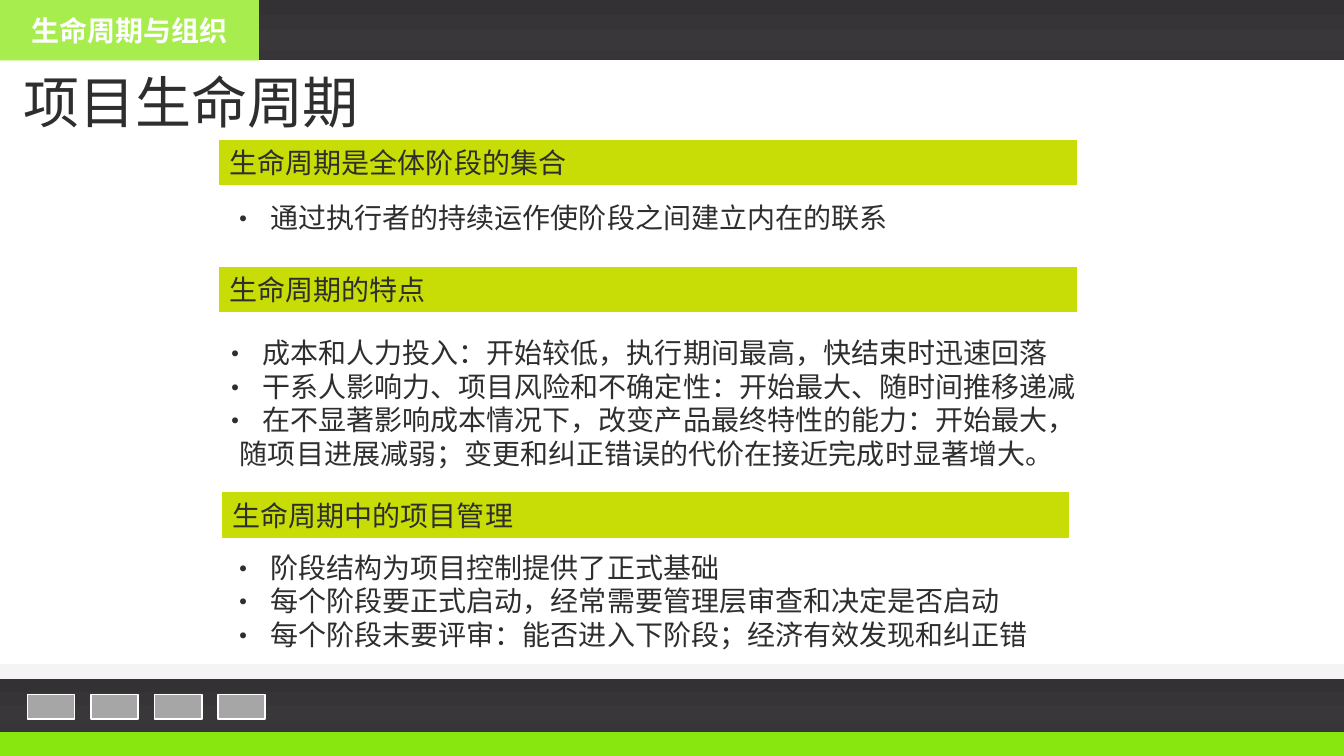
from dataclasses import dataclass

from lxml.etree import SubElement
from pptx import Presentation
from pptx.dml.color import RGBColor
from pptx.enum.shapes import MSO_SHAPE
from pptx.enum.text import MSO_ANCHOR as Anchor, MSO_AUTO_SIZE as AutoSize, PP_ALIGN as Align
from pptx.oxml.ns import qn
from pptx.util import Pt


@dataclass(frozen=True)
class Theme:
    ink: str = "2D2E2D"
    white: str = "FFFFFF"
    green: str = "88E70F"
    lime: str = "C8DD05"
    grey: str = "A6A6A6"
    dark: tuple = ((0, "333134"), (74, "39373A"), (83, "373538"), (100, "363436"))
    backdrop: tuple = ((0, "FFFFFF"), (53, "FFFFFF"), (100, "F2F2F2"))
    latin: str = "Arial"
    cjk: str = "Noto Sans CJK SC"
    title: int = 40
    text: int = 20
    leading: float = 1.2


THEME = Theme()
WIDTH, HEIGHT = 960, 540
HEADER = 43.2
TAG_WIDTH = 185
FOOTER_TOP, GREEN_TOP = 485.3, 522.7
BULLET_INDENT = 29

SECTIONS = [
    ("生命周期是全体阶段的集合", (157, 100.1, 612, 31.7), (157, 139.7, 595.4, 31),
     ["通过执行者的持续运作使阶段之间建立内在的联系"], None),
    ("生命周期的特点", (157, 190.8, 612, 31.7), (151.2, 236.2, 714, 103),
     ["成本和人力投入：开始较低，执行期间最高，快结束时迅速回落",
      "干系人影响力、项目风险和不确定性：开始最大、随时间推移递减",
      "在不显著影响成本情况下，改变产品最终特性的能力：开始最大，"],
     "随项目进展减弱；变更和纠正错误的代价在接近完成时显著增大。"),
    ("生命周期中的项目管理", (159.1, 352.1, 604, 31.7), (157, 389.5, 595.4, 79),
     ["阶段结构为项目控制提供了正式基础",
      "每个阶段要正式启动，经常需要管理层审查和决定是否启动",
      "每个阶段末要评审：能否进入下阶段；经济有效发现和纠正错"], None),
]


def rgb(color):
    return RGBColor.from_string(color)


def apply_gradient(fill, element, stops):
    fill.gradient()
    fill.gradient_angle = 270
    stop_list = element.find(".//" + qn("a:gsLst"))
    for old in list(stop_list):
        stop_list.remove(old)
    for position, color in stops:
        stop = SubElement(stop_list, qn("a:gs"), pos=str(position * 1000))
        SubElement(stop, qn("a:srgbClr"), val=color)


def add_block(s, box, fill, line=None, line_width=0.75, alpha=None):
    sp = s.shapes.add_shape(MSO_SHAPE.RECTANGLE, *map(Pt, box))
    sp.shadow.inherit = False
    if isinstance(fill, tuple):
        apply_gradient(sp.fill, sp.element, fill)
    else:
        sp.fill.solid()
        sp.fill.fore_color.rgb = rgb(fill)
    if alpha:
        color = sp.element.spPr.find(".//" + qn("a:srgbClr"))
        SubElement(color, qn("a:alpha"), val=str(alpha * 1000))
    if line:
        sp.line.color.rgb = rgb(line)
        sp.line.width = Pt(line_width)
    else:
        sp.line.fill.background()
    return sp


def setup_frame(sp, anchor=Anchor.TOP, wrap=True):
    tf = sp.text_frame
    tf.word_wrap = wrap
    tf.auto_size = AutoSize.NONE
    tf.vertical_anchor = anchor
    tf.margin_left = tf.margin_right = Pt(7.2)
    tf.margin_top = tf.margin_bottom = Pt(3.6)
    return tf


def write(p, text, size=THEME.text, color=THEME.ink, bold=False, align=Align.LEFT):
    p.alignment = align
    p.space_before = p.space_after = Pt(0)
    p.line_spacing = Pt(size * THEME.leading)
    r = p.add_run()
    r.text = text
    r.font.size = Pt(size)
    r.font.bold = bold
    r.font.color.rgb = rgb(color)
    r.font.name = THEME.latin
    SubElement(r.font._element, qn("a:ea"), typeface=THEME.cjk)


def set_bullet(p, margin, indent=0, char=None):
    p_pr = p._p.get_or_add_pPr()
    p_pr.set("marL", str(Pt(margin)))
    p_pr.set("indent", str(Pt(indent)))
    if char:
        SubElement(p_pr, qn("a:buFont"), typeface=THEME.cjk)
        SubElement(p_pr, qn("a:buChar"), char=char)
    else:
        SubElement(p_pr, qn("a:buNone"))


def place(sp, box):
    sp.left, sp.top, sp.width, sp.height = map(Pt, box)


def fill_list(sp, box, items, continuation):
    place(sp, box)
    tf = setup_frame(sp)
    for i, item in enumerate(items):
        p = tf.add_paragraph() if i else tf.paragraphs[0]
        set_bullet(p, BULLET_INDENT, -BULLET_INDENT, "•")
        write(p, item)
    if continuation:
        p = tf.add_paragraph()
        set_bullet(p, 13)
        write(p, continuation)


def add_heading(s, text, box):
    sp = add_block(s, box, THEME.lime, THEME.lime)
    write(setup_frame(sp, Anchor.MIDDLE).paragraphs[0], text)


def add_frame(s):
    apply_gradient(s.background.fill, s.element, THEME.backdrop)
    panel = add_block(s, (0, 0, WIDTH, 474.5), THEME.white)
    s.shapes.element.insert(2, panel.element)
    add_block(s, (0, GREEN_TOP, WIDTH, HEIGHT - GREEN_TOP), THEME.green)
    add_block(s, (0, FOOTER_TOP, WIDTH, GREEN_TOP - FOOTER_TOP), THEME.dark)
    add_block(s, (TAG_WIDTH, 0, WIDTH - TAG_WIDTH, HEADER), THEME.dark)
    for i in range(4):
        add_block(s, (19.6 + 45.4 * i, 496.2, 33.8, 17.3), THEME.grey, THEME.white, 1.2)
    tag = add_block(s, (0, 0, TAG_WIDTH, HEADER), THEME.green, alpha=74)
    write(setup_frame(tag, Anchor.MIDDLE).paragraphs[0], "生命周期与组织",
          color=THEME.white, bold=True, align=Align.CENTER)


def main():
    prs = Presentation()
    prs.slide_width, prs.slide_height = Pt(WIDTH), Pt(HEIGHT)
    s = prs.slides.add_slide(prs.slide_layouts.get_by_name("Comparison"))
    title, *bodies, spare = s.placeholders
    spare.element.getparent().remove(spare.element)
    add_frame(s)
    place(title, (9.4, 44.6, 254.2, 55.4))
    write(setup_frame(title, wrap=False).paragraphs[0], "项目生命周期", THEME.title)
    for body, (heading, bar, box, items, continuation) in zip(bodies, SECTIONS):
        add_heading(s, heading, bar)
        fill_list(body, box, items, continuation)
    prs.save("out.pptx")


if __name__ == "__main__":
    main()
